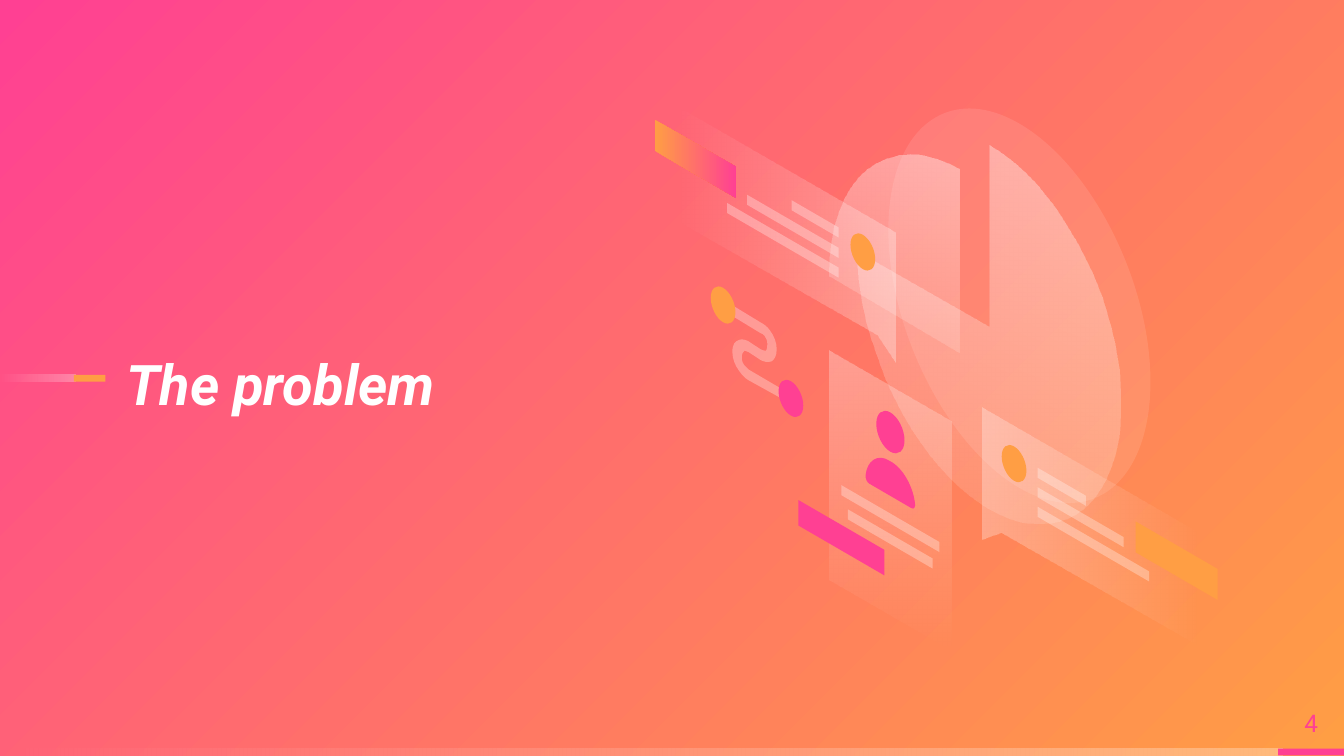
from lxml.etree import SubElement
from pptx import Presentation
from pptx.dml.color import RGBColor
from pptx.enum.shapes import MSO_SHAPE
from pptx.enum.text import MSO_ANCHOR, MSO_AUTO_SIZE, PP_ALIGN
from pptx.oxml.ns import qn
from pptx.util import Inches, Pt

PINK = RGBColor(0xFF, 0x40, 0x93)
ORANGE = RGBColor(0xFF, 0x9E, 0x44)
WHITE = RGBColor(0xFF, 0xFF, 0xFF)
FONT = "Roboto"
COLUMNS, ROWS = 100, 56.25
CELL = Inches(10) / COLUMNS
SLOPE = 0.58        # drop per column along the isometric axis
DISC_HEIGHT = 1.39  # height of a tilted disc against its width
ARC = 0.55          # handle length of a quarter circle
STEPS = 12          # samples per curve when measuring an outline

# A fill is a list of (colour, opacity) stops.
VEIL = [(WHITE, 30)]
FADE = [(WHITE, 30), (WHITE, 0)]
GLASS = [(WHITE, 40), (WHITE, 10)]
SOLID_PINK = [(PINK, 100)]
SOLID_ORANGE = [(ORANGE, 100)]
ORANGE_TO_PINK = [(ORANGE, 100), (PINK, 100)]


def grid(*cells):
    return [round(cell * CELL) for cell in cells]


def pairs(step):
    return list(zip(step[::2], step[1::2]))


def outline_points(path):
    """Sample a path of (x, y) corners and six-number cubic curves."""
    points = [path[0]]
    for step in path[1:]:
        if len(step) == 2:
            points.append(step)
            continue
        knots = [points[-1]] + pairs(step)
        for index in range(1, STEPS + 1):
            t = index / STEPS
            weights = ((1 - t) ** 3, 3 * t * (1 - t) ** 2, 3 * t * t * (1 - t), t ** 3)
            points.append(tuple(sum(w * knot[axis] for w, knot in zip(weights, knots))
                                for axis in (0, 1)))
    return points


class SlideBuilder:
    def __init__(self, presentation):
        self.slide = presentation.slides.add_slide(presentation.slide_layouts[2])
        title = self.slide.shapes.title._element
        title.getparent().remove(title)
        self.art = None

    def background(self):
        """Radiate orange from the lower right corner into pink."""
        fill = self.slide.background.fill
        fill.gradient()
        for stop, colour in zip(fill.gradient_stops, (ORANGE, PINK)):
            stop.color.rgb = colour
        gradient = self.slide._element.find(".//" + qn("a:gradFill"))
        gradient.remove(gradient.find(qn("a:lin")))
        radial = SubElement(gradient, qn("a:path"), path="circle")
        SubElement(radial, qn("a:fillToRect"), l="100000", t="100000")
        SubElement(gradient, qn("a:tileRect"), r="-100000", b="-100000")

    def paint(self, shape, stops, angle):
        shape.shadow.inherit = False
        shape.line.fill.background()
        if len(stops) == 1:
            shape.fill.solid()
            shape.fill.fore_color.rgb = stops[0][0]
        else:
            shape.fill.gradient()
            shape.fill.gradient_angle = -angle % 360
            for stop, (colour, _) in zip(shape.fill.gradient_stops, stops):
                stop.color.rgb = colour
        colours = shape._element.spPr.iter(qn("a:srgbClr"))
        for element, (_, opacity) in zip(list(colours), stops):
            if opacity < 100:
                SubElement(element, qn("a:alpha"), val=str(opacity * 1000))

    def strip(self, left, top, width, height, stops, angle=0):
        shape = self.slide.shapes.add_shape(
            MSO_SHAPE.RECTANGLE, *grid(left, top, width, height))
        self.paint(shape, stops, angle)

    def start_art(self):
        self.art = self.slide.shapes.add_group_shape()

    def outline(self, path, stops, angle=0):
        points = [grid(*point) for point in outline_points(path)]
        builder = self.art.shapes.build_freeform(*points[0], scale=1.0)
        builder.add_line_segments(points[1:], close=True)
        shape = builder.convert_to_shape()
        self.set_curves(shape, path)
        self.paint(shape, stops, angle)

    def set_curves(self, shape, path):
        """Swap the sampled segments for true corners and cubic curves."""
        geometry = shape._element.find(".//" + qn("a:path"))
        for segment in list(geometry):
            geometry.remove(segment)
        for index, step in enumerate(path):
            tag = "a:moveTo" if index == 0 else "a:lnTo" if len(step) == 2 else "a:cubicBezTo"
            segment = SubElement(geometry, qn(tag))
            for point in pairs(step):
                x, y = grid(*point)
                SubElement(segment, qn("a:pt"), x=str(x - shape.left), y=str(y - shape.top))
        SubElement(geometry, qn("a:close"))

    def slanted_bar(self, left, top, width, height, stops=VEIL, angle=0):
        right, drop = left + width, top + width * SLOPE
        self.outline([(left, top), (right, drop), (right, drop + height),
                      (left, top + height)], stops, angle)

    def disc(self, x, y, radius, stops):
        """Draw a circle tilted into the isometric plane."""
        def tilt(*numbers):
            return tuple(value for u, v in pairs(numbers) for value in (
                x + radius * u, y + radius * (SLOPE * u + DISC_HEIGHT * v)))

        self.outline([tilt(1, 0), tilt(1, ARC, ARC, 1, 0, 1), tilt(-ARC, 1, -1, ARC, -1, 0),
                      tilt(-1, -ARC, -ARC, -1, 0, -1), tilt(ARC, -1, 1, -ARC, 1, 0)], stops)

    def text(self, shape, words, size, colour, align, bold=None, italic=None):
        frame = shape.text_frame
        frame.word_wrap = True
        frame.auto_size = MSO_AUTO_SIZE.NONE
        frame.vertical_anchor = MSO_ANCHOR.MIDDLE
        frame.margin_left = frame.margin_right = frame.margin_top = frame.margin_bottom = 0
        paragraph = frame.paragraphs[0]
        paragraph.alignment = align
        run = paragraph.add_run()
        run.text = words
        font = run.font
        font.name, font.size, font.bold, font.italic = FONT, Pt(size), bold, italic
        font.color.rgb = colour
        return paragraph

    def heading(self, words, left, top, width, height):
        shape = self.slide.placeholders[1]
        shape.left, shape.top, shape.width, shape.height = grid(left, top, width, height)
        paragraph = self.text(shape, words, 30, WHITE, PP_ALIGN.LEFT, True, True)
        paragraph.line_spacing = 1.15
        paragraph.space_before = Pt(0)
        paragraph.space_after = Pt(8)

    def page_number(self, number, left, top, width, height):
        shape = self.slide.shapes.add_textbox(*grid(left, top, width, height))
        self.text(shape, number, 13, PINK, PP_ALIGN.CENTER)


def draw_pie(builder):
    builder.disc(75.85, 22.75, 9.75, [(WHITE, 10)])
    builder.outline([(71.4, 12.6), (70.1, 11.9, 68.9, 11.5, 67.7, 11.5),
                     (66.5, 11.5, 65.4, 11.9, 64.5, 12.6), (63.6, 13.3, 62.9, 14.4, 62.4, 15.8),
                     (61.9, 17.1, 61.7, 18.7, 61.7, 20.5), (71.4, 26.2)], GLASS, 110)
    builder.outline([(63.8, 18.7), (63.8, 21.3, 64.4, 24.3, 65.5, 27.1),
                     (66.5, 30, 68.1, 32.6, 69.8, 34.6), (71.6, 36.7, 73.6, 38.1, 75.5, 38.7),
                     (77.4, 39.2, 79.1, 39, 80.5, 37.9), (81.9, 36.7, 82.8, 34.9, 83.2, 32.5),
                     (83.5, 30.1, 83.4, 27.2, 82.6, 24.3), (81.9, 21.4, 80.6, 18.6, 79, 16.2),
                     (77.4, 13.7, 75.5, 11.9, 73.6, 10.8), (73.6, 24.3)], GLASS, 110)


def draw_speech_cards(builder):
    builder.outline([(66.6, 17.3), (50.4, 7.9), (50.4, 16.4), (65.2, 24.9), (66.6, 27)], FADE, 180)
    builder.slanted_bar(48.7, 8.9, 6.1, 2.3, ORANGE_TO_PINK)
    for left, top in ((58.9, 14.9), (55.6, 14.5), (54.1, 15.1)):
        builder.slanted_bar(left, top, 62.4 - left, 0.75)
    builder.disc(64.2, 18.75, 0.92, SOLID_ORANGE)
    builder.outline([(73.1, 30.3), (89.3, 39.7), (89.3, 48.1), (74.5, 39.6), (73.1, 40.1)], FADE)
    builder.slanted_bar(84.5, 38.8, 6.1, 2.3, SOLID_ORANGE)
    for row, width in enumerate((3.6, 6.4, 8.3)):
        builder.slanted_bar(77.2, 34.8 + 1.45 * row, width, 0.75)
    builder.disc(75.45, 34.5, 0.92, SOLID_ORANGE)


def draw_profile_card(builder):
    builder.slanted_bar(61.7, 26.1, 9.1, 17, FADE, 90)
    builder.slanted_bar(62.6, 36.1, 7.3, 0.75)
    builder.slanted_bar(63.1, 37.9, 6.3, 0.75)
    builder.slanted_bar(59.4, 37.2, 6.4, 1.9, SOLID_PINK)
    builder.disc(66.25, 32.15, 1.05, SOLID_PINK)
    builder.outline([(66.2, 34.3), (65.3, 33.7, 64.5, 34.3, 64.4, 35.4),
                     (64.4, 35.6, 64.5, 35.9, 64.7, 36), (67.8, 37.8),
                     (68, 37.9, 68.1, 37.8, 68.1, 37.6),
                     (68, 36.3, 67.2, 34.8, 66.2, 34.3)], SOLID_PINK)


def draw_winding_link(builder):
    builder.outline([(56.6, 24.8), (54.3, 23.4), (54.3, 22.6), (56.6, 24),
                     (56.8, 24.1, 57.1, 24.3, 57.3, 24.6), (57.6, 25, 57.8, 25.5, 57.8, 26),
                     (57.8, 26.5, 57.6, 26.8, 57.4, 26.9), (57.1, 27, 56.8, 26.9, 56.6, 26.8),
                     (55.7, 26.2), (55.6, 26.2, 55.5, 26.1, 55.4, 26.1),
                     (55.3, 26.2, 55.2, 26.3, 55.2, 26.6), (55.2, 26.9, 55.3, 27.1, 55.4, 27.2),
                     (55.5, 27.3, 55.6, 27.4, 55.7, 27.5), (58.6, 29.2), (58.6, 29.9),
                     (55.7, 28.3), (55.5, 28.2, 55.2, 27.9, 55, 27.6),
                     (54.7, 27.2, 54.5, 26.7, 54.5, 26.2), (54.5, 25.6, 54.7, 25.4, 55, 25.3),
                     (55.2, 25.2, 55.5, 25.3, 55.7, 25.4), (56.6, 26),
                     (56.8, 26.1, 56.9, 26.1, 57, 26.1), (57, 26.1, 57.1, 26, 57.1, 25.6),
                     (57.1, 25.3, 57, 25.2, 56.9, 25), (56.8, 24.9, 56.7, 24.8, 56.6, 24.8)], VEIL)
    builder.disc(53.8, 22.7, 0.92, SOLID_ORANGE)
    builder.disc(58.85, 29.65, 0.92, SOLID_PINK)


def main():
    presentation = Presentation()
    presentation.slide_width, presentation.slide_height = grid(COLUMNS, ROWS)
    builder = SlideBuilder(presentation)
    builder.background()
    builder.strip(0, 55.7, 95.4, 0.5, FADE, 180)
    builder.strip(95.1, 55.7, 4.9, 0.5, SOLID_PINK)
    builder.strip(0, 27.9, 5.6, 0.5, FADE, 180)
    builder.strip(5.5, 27.9, 2.35, 0.5, SOLID_ORANGE)
    builder.heading("The problem", 9.4, 23.6, 58, 9)
    builder.page_number("4", 95.1, 51.9, 4.9, 3.8)
    builder.start_art()
    for draw in (draw_pie, draw_speech_cards, draw_profile_card, draw_winding_link):
        draw(builder)
    presentation.save("out.pptx")


if __name__ == "__main__":
    main()
